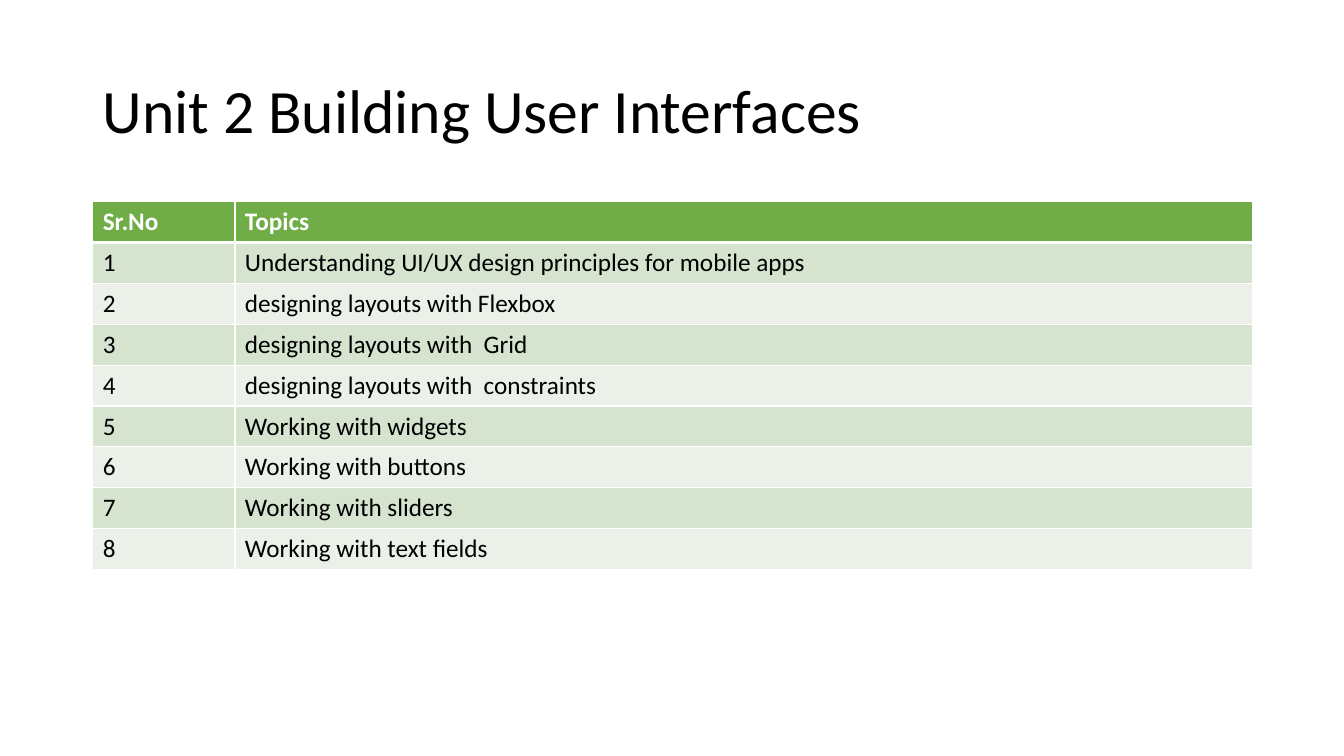
from typing import NamedTuple

from lxml.etree import SubElement
from pptx import Presentation
from pptx.dml.color import RGBColor
from pptx.enum.text import MSO_ANCHOR
from pptx.oxml.ns import qn
from pptx.slide import Slide
from pptx.table import _Cell as Cell
from pptx.text.text import _Paragraph as Paragraph
from pptx.util import Inches, Pt

BLACK = RGBColor(0x00, 0x00, 0x00)
WHITE = RGBColor(0xFF, 0xFF, 0xFF)
GREEN = RGBColor(0x70, 0xAD, 0x47)
LIGHT_GREEN = RGBColor(0xD5, 0xE3, 0xCF)
PALE_GREEN = RGBColor(0xEB, 0xF1, 0xE9)

SLIDE_WIDTH, SLIDE_HEIGHT = Inches(13.33), Inches(7.5)
MARGIN = Inches(0.92)
CONTENT_WIDTH = Inches(11.5)
NUMBER_WIDTH = Inches(1.41)
TABLE_HEIGHT = Inches(3.65)
THIN, THICK = Pt(1), Pt(3)

TITLE = "Unit 2 Building User Interfaces"
HEADINGS = ("Sr.No", "Topics")
TOPICS = (
    "Understanding UI/UX design principles for mobile apps",
    "designing layouts with Flexbox",
    "designing layouts with  Grid",
    "designing layouts with  constraints",
    "Working with widgets",
    "Working with buttons",
    "Working with sliders",
    "Working with text fields",
)


class RowStyle(NamedTuple):
    fill: RGBColor
    color: RGBColor = BLACK
    bold: bool = False
    top: int = THIN
    bottom: int = THIN


class TopicRow(NamedTuple):
    texts: tuple[str, str]
    style: RowStyle


def write(paragraph: Paragraph, text: str, size: int, color: RGBColor, bold: bool = False) -> None:
    paragraph.text = text
    font = paragraph.runs[0].font
    formats = {"name": "Calibri", "size": Pt(size), "bold": bold}
    for name, value in formats.items():
        setattr(font, name, value)
    font.color.rgb = color


def add_borders(cell: Cell, style: RowStyle) -> None:
    properties = cell._tc.get_or_add_tcPr()
    widths = {"lnL": THIN, "lnR": THIN, "lnT": style.top, "lnB": style.bottom}
    for side, width in widths.items():
        line = SubElement(properties, qn(f"a:{side}"), w=str(int(width)))
        fill = SubElement(line, qn("a:solidFill"))
        SubElement(fill, qn("a:srgbClr"), val=str(WHITE))


def topic_rows() -> list[TopicRow]:
    """The heading row, then the numbered topics in alternating bands."""
    rows = [TopicRow(HEADINGS, RowStyle(GREEN, WHITE, True, bottom=THICK))]
    for number, topic in enumerate(TOPICS, start=1):
        fill = LIGHT_GREEN if number % 2 else PALE_GREEN
        top = THICK if number == 1 else THIN
        rows.append(TopicRow((str(number), topic), RowStyle(fill, top=top)))
    return rows


def add_title(slide: Slide) -> None:
    box = slide.shapes.add_textbox(MARGIN, Inches(0.4), CONTENT_WIDTH, Inches(1.45))
    frame = box.text_frame
    frame.word_wrap = True
    frame.vertical_anchor = MSO_ANCHOR.MIDDLE
    paragraph = frame.paragraphs[0]
    paragraph.line_spacing = 0.9
    write(paragraph, TITLE, 44, BLACK)


def add_topics_table(slide: Slide) -> None:
    rows = topic_rows()
    table = slide.shapes.add_table(
        len(rows), len(HEADINGS), MARGIN, Inches(2), CONTENT_WIDTH, TABLE_HEIGHT
    ).table
    table.columns[0].width = NUMBER_WIDTH
    table.columns[1].width = CONTENT_WIDTH - NUMBER_WIDTH
    for table_row, (texts, style) in zip(table.rows, rows):
        for cell, text in zip(table_row.cells, texts):
            add_borders(cell, style)
            cell.fill.solid()
            cell.fill.fore_color.rgb = style.fill
            write(cell.text_frame.paragraphs[0], text, 18, style.color, style.bold)


def main() -> None:
    presentation = Presentation()
    presentation.slide_width = SLIDE_WIDTH
    presentation.slide_height = SLIDE_HEIGHT
    slide = presentation.slides.add_slide(presentation.slide_layouts[6])
    add_title(slide)
    add_topics_table(slide)
    presentation.save("out.pptx")


if __name__ == "__main__":
    main()
